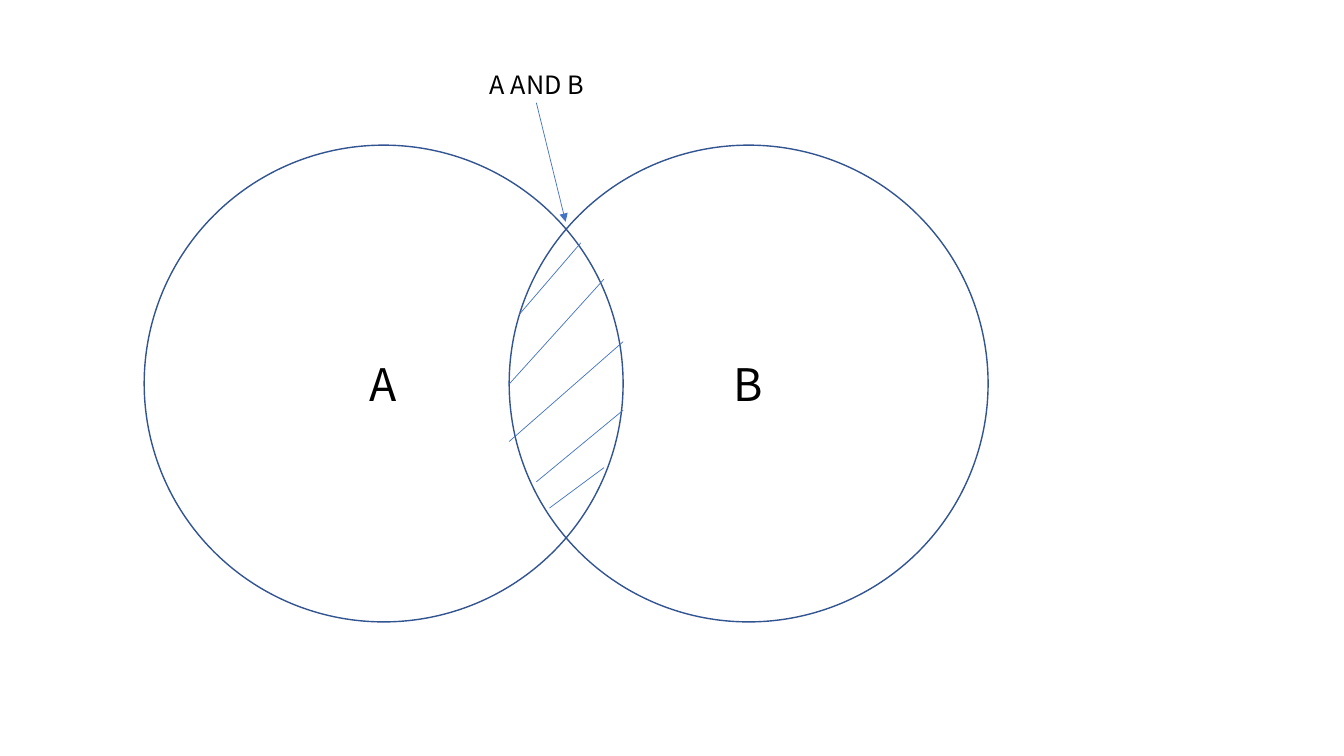
"""Build a Venn diagram slide that shows the intersection A AND B."""
from pptx import Presentation
from pptx.dml.color import RGBColor
from pptx.enum.shapes import MSO_CONNECTOR, MSO_SHAPE
from pptx.enum.text import MSO_ANCHOR, MSO_AUTO_SIZE, PP_ALIGN
from pptx.oxml.ns import qn
from pptx.util import Inches, Pt
from lxml.etree import SubElement

FONT = "Noto Sans CJK KR"
COLORS = {"outline": "325491", "line": "4472C4", "text": "000000"}
CIRCLES = [("A", 1.43), ("B", 5.05)]
CIRCLE_TOP, CIRCLE_WIDTH, CIRCLE_HEIGHT = 1.44, 4.75, 4.73
HATCHING = [
    ((5.76, 2.41), (5.15, 3.12)),
    ((5.99, 2.77), (5.05, 3.81)),
    ((6.18, 3.39), (5.05, 4.38)),
    ((6.18, 4.07), (5.32, 4.78)),
    ((5.99, 4.64), (5.45, 5.04)),
]
ARROW = ((5.32, 1.02), (5.61, 2.2))
LABEL = ("A AND B", (4.76, 0.64, 1.23, 0.4))


def color(name):
    return RGBColor.from_string(COLORS[name])


def write(shape, text, size, alignment):
    shape.text_frame.text = text
    paragraph = shape.text_frame.paragraphs[0]
    paragraph.alignment = alignment
    paragraph.font.name = FONT
    paragraph.font.size = Pt(size)
    paragraph.font.color.rgb = color("text")


def add_circle(slide, text, left):
    box = map(Inches, (left, CIRCLE_TOP, CIRCLE_WIDTH, CIRCLE_HEIGHT))
    circle = slide.shapes.add_shape(MSO_SHAPE.OVAL, *box)
    circle.shadow.inherit = False
    circle.fill.background()
    circle.line.color.rgb = color("outline")
    circle.line.width = Pt(1)
    circle.text_frame.vertical_anchor = MSO_ANCHOR.MIDDLE
    write(circle, text, 32, PP_ALIGN.CENTER)


def add_line(slide, start, end, arrowhead=False):
    connector = slide.shapes.add_connector(MSO_CONNECTOR.STRAIGHT, *map(Inches, start + end))
    connector.line.color.rgb = color("line")
    connector.line.width = Pt(0.5)
    if arrowhead:
        SubElement(connector.line._get_or_add_ln(), qn("a:tailEnd"), type="triangle")
    SubElement(connector._element.spPr, qn("a:effectLst"))


def add_label(slide, text, box):
    label = slide.shapes.add_textbox(*map(Inches, box))
    label.text_frame.word_wrap = False
    label.text_frame.auto_size = MSO_AUTO_SIZE.SHAPE_TO_FIT_TEXT
    write(label, text, 18, PP_ALIGN.LEFT)


presentation = Presentation()
presentation.slide_width = Inches(13.33)
presentation.slide_height = Inches(7.5)
slide = presentation.slides.add_slide(presentation.slide_layouts.get_by_name("Blank"))

for letter, left in CIRCLES:
    add_circle(slide, letter, left)
for start, end in HATCHING:
    add_line(slide, start, end)
add_line(slide, *ARROW, arrowhead=True)
add_label(slide, *LABEL)

presentation.save("out.pptx")
